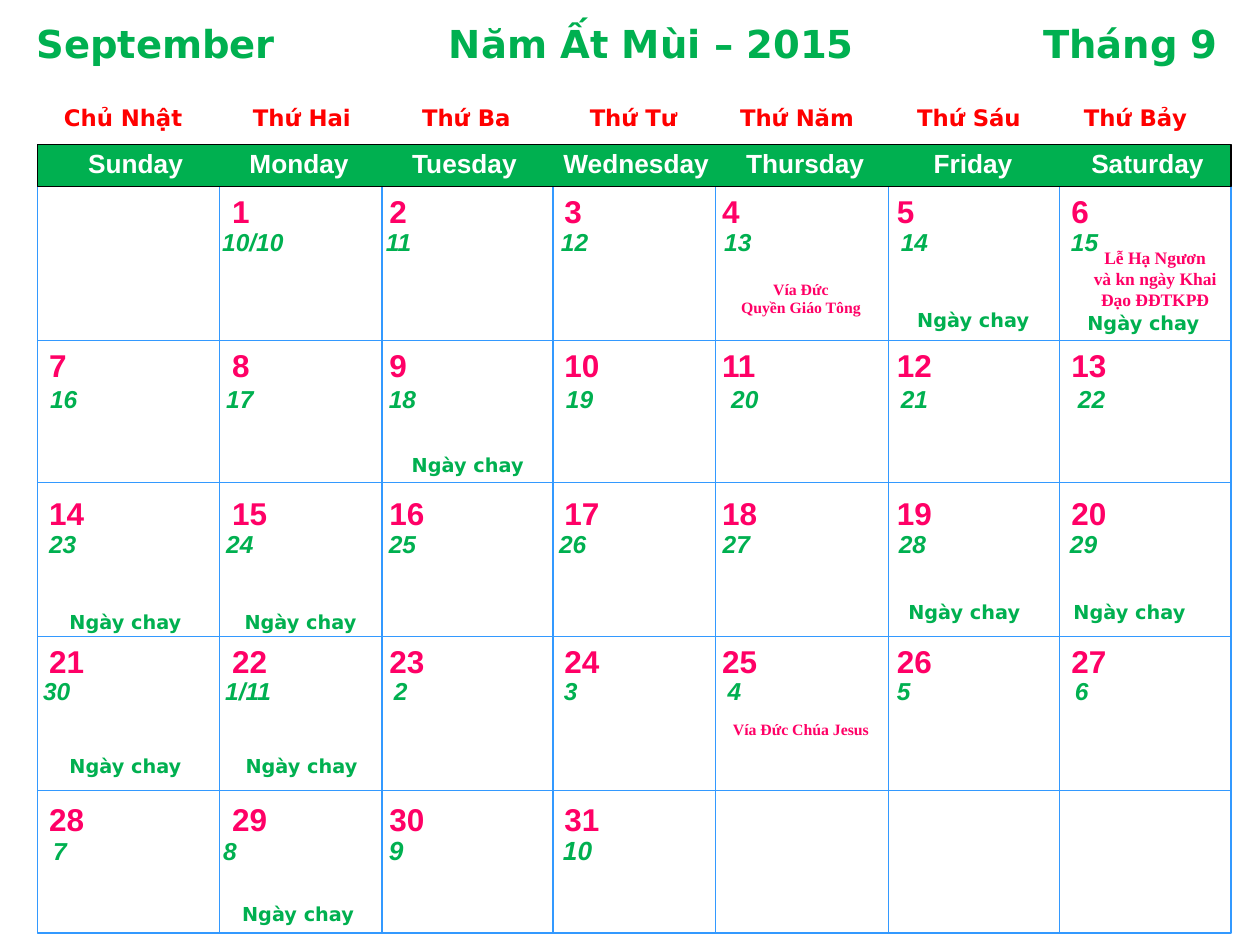
"""Builds the September lunar and solar calendar slide."""
import pptx
import pptx.dml.color
import pptx.enum.shapes
import pptx.enum.text
import pptx.oxml.ns
import pptx.util
from lxml import etree
from pptx.util import Cm

GREEN = pptx.dml.color.RGBColor(0x00, 0xB0, 0x50)
RED = pptx.dml.color.RGBColor(0xFF, 0x00, 0x00)
PINK = pptx.dml.color.RGBColor(0xFF, 0x00, 0x66)
BLUE = pptx.dml.color.RGBColor(0x33, 0x99, 0xFF)
BLACK = pptx.dml.color.RGBColor(0x00, 0x00, 0x00)
WHITE = pptx.dml.color.RGBColor(0xFF, 0xFF, 0xFF)

LEFT, RIGHT, HEADER_TOP, TOP, BOTTOM = 0.76, 24.82, 2.92, 3.76, 18.81
COLUMN_LINES = [4.42, 7.7, 11.15, 14.43, 17.91, 21.36]
ROW_LINES = [TOP, 6.86, 9.73, 12.83, 15.93]
INSET = 0.23

WEEKDAYS = [
    ("Sunday", 1.55, 2.39), ("Monday", 4.8, 2.49), ("Tuesday", 8.08, 2.59),
    ("Wednesday", 11.13, 3.43), ("Thursday", 14.81, 2.87),
    ("Friday", 18.59, 2.08), ("Saturday", 21.77, 2.77),
]
VIETNAMESE_DAYS = ["Chủ Nhật", "Thứ Hai", "Thứ Ba", "Thứ Tư", "Thứ Năm", "Thứ Sáu", "Thứ Bảy"]
VIETNAMESE_STOPS = [1.29, 5.1, 8.51, 11.89, 14.92, 18.49, 21.85]
DAY_STOPS = [0.99, 4.68, 7.85, 11.38, 14.56, 18.08, 21.6]

DAY_ROWS = [
    (3.76, range(1, 7)), (6.86, range(7, 14)), (9.83, range(14, 21)),
    (12.83, range(21, 28)), (16, range(28, 32)),
]
LUNAR_ROWS = [
    (1.47, 4.45, 21.36, ["10/10", "11", "12", "13", "14", "15"],
     [4.48, 7.78, 11.31, 14.6, 18.16, 21.59]),
    (0.2, 7.62, 22.66, ["16", "17", "18", "19", "20", "21", "22"],
     [1.01, 4.56, 7.84, 11.41, 14.74, 18.16, 21.73]),
    (0.64, 10.54, 22.23, ["23", "24", "25", "26", "27", "28", "29"],
     [0.99, 4.56, 7.84, 11.27, 14.57, 18.12, 21.57]),
    (0.64, 13.51, 22.48, ["30", "1/11", "2", "3", "4", "5", "6"],
     [0.85, 4.54, 7.94, 11.37, 14.67, 18.08, 21.67]),
    (0.84, 16.69, 21.36, ["7", "8", "9", "10"], [1.07, 4.5, 7.84, 11.35]),
]
FASTING_PLACES = [
    (18.06, 6.1), (21.49, 6.15), (7.87, 9.02), (17.88, 11.99), (21.21, 11.99),
    (0.97, 12.19), (4.5, 12.19), (0.97, 15.09), (4.52, 15.09), (4.45, 18.06),
]
FESTIVALS = [
    (13.92, 5.51, 1.02, 9, ["Vía Đức", "Quyền Giáo Tông"]),
    (13.92, 14.38, 0.64, 9, ["Vía Đức Chúa Jesus"]),
    (21.06, 4.85, 1.52, 10, ["Lễ Hạ Ngươn", "và kn ngày Khai", "Đạo ĐĐTKPĐ"]),
]


class Calendar:
    """Holds the text styles and the current slide."""

    styles = {
        "title": ("DejaVu Sans", 22, GREEN, False),
        "vietnamese": ("DejaVu Sans", 13, RED, False),
        "weekday": ("Arial", 15, WHITE, False),
        "day": ("Arial", 18, PINK, False),
        "lunar": ("Arial", 14, GREEN, True),
        "fasting": ("DejaVu Sans", 11, GREEN, False),
        "festival": ("Times New Roman", 9, PINK, False),
    }

    def __init__(self, page):
        self.page = page

    def line(self, x1, y1, x2, y2):
        """Draws one grid line."""
        line = self.page.shapes.add_connector(
            pptx.enum.shapes.MSO_CONNECTOR.STRAIGHT, Cm(x1), Cm(y1), Cm(x2), Cm(y2))
        line.line.color.rgb = BLUE
        line.line.width = pptx.util.Pt(0.75)
        etree.SubElement(line._element.spPr, pptx.oxml.ns.qn("a:effectLst"))

    def rectangle(self, top, bottom, color, fill=None):
        """Draws a rectangle across the full calendar width."""
        shape = self.page.shapes.add_shape(
            pptx.enum.shapes.MSO_SHAPE.RECTANGLE,
            Cm(LEFT), Cm(top), Cm(RIGHT - LEFT), Cm(bottom - top))
        shape.shadow.inherit = False
        shape.line.color.rgb = color
        shape.line.width = pptx.util.Pt(0.75)
        if fill is None:
            shape.fill.background()
        else:
            shape.fill.solid()
            shape.fill.fore_color.rgb = fill

    def frame(self, box, wrap=True):
        """Gives a text box its insets and fitting."""
        frame = box.text_frame
        frame.word_wrap = wrap
        frame.auto_size = pptx.enum.text.MSO_AUTO_SIZE.SHAPE_TO_FIT_TEXT
        frame.vertical_anchor = pptx.enum.text.MSO_ANCHOR.TOP
        frame.margin_left = frame.margin_right = Cm(INSET)
        frame.margin_top = frame.margin_bottom = Cm(0.12)
        return frame

    def span(self, para, text, style, size=None):
        """Adds one styled run."""
        name, points, color, italic = self.styles[style]
        span = para.add_run()
        span.text = text
        span.font.name = name
        span.font.size = pptx.util.Pt(size or points)
        span.font.bold = True
        span.font.italic = italic
        span.font.color.rgb = color

    def text(self, left, top, width, height, lines, style, size=None, wrap=True):
        """Adds a box of lines, centred when it wraps."""
        box = self.page.shapes.add_textbox(Cm(left), Cm(top), Cm(width), Cm(height))
        frame = self.frame(box, wrap)
        for index, line in enumerate(lines):
            para = frame.add_paragraph() if index else frame.paragraphs[0]
            if wrap:
                para.alignment = pptx.enum.text.PP_ALIGN.CENTER
            self.span(para, line, style, size)

    def row(self, left, top, width, height, entries, stops, style, sizes=None, box=None):
        """Sets entries in one paragraph at tab stops measured from the slide edge."""
        box = box or self.page.shapes.add_textbox(0, 0, 0, 0)
        box.left, box.top, box.width, box.height = Cm(left), Cm(top), Cm(width), Cm(height)
        para = self.frame(box).paragraphs[0]
        para.alignment = pptx.enum.text.PP_ALIGN.LEFT
        offsets = [stop - left - INSET for stop in stops]
        tabs = etree.SubElement(para._p.get_or_add_pPr(), pptx.oxml.ns.qn("a:tabLst"))
        for offset in offsets:
            if offset > 0.05:
                etree.SubElement(tabs, pptx.oxml.ns.qn("a:tab"), pos=str(int(Cm(offset))), algn="l")
        for index, (entry, offset) in enumerate(zip(entries, offsets)):
            lead = "\t" if offset > 0.05 else ""
            self.span(para, lead + str(entry), style, sizes[index] if sizes else None)


def main():
    """Builds and saves the deck."""
    deck = pptx.Presentation()
    deck.slide_width, deck.slide_height = Cm(25.4), Cm(19.05)
    page = deck.slides.add_slide(deck.slide_layouts[5])
    calendar = Calendar(page)

    for y in ROW_LINES:
        calendar.line(LEFT, y, RIGHT, y)
    for x in COLUMN_LINES:
        calendar.line(x, TOP, x, BOTTOM)
    calendar.rectangle(TOP, BOTTOM, BLUE)
    calendar.rectangle(HEADER_TOP, TOP, BLACK, GREEN)

    calendar.row(0.28, 0.28, 24.82, 1.17, ["September", "Năm Ất Mùi – 2015", "Tháng 9"],
                 [0.74, 9.05, 21.03], "title", box=page.shapes.title)
    calendar.row(0.28, 1.98, 24.54, 0.79, VIETNAMESE_DAYS, VIETNAMESE_STOPS, "vietnamese")
    for name, left, width in WEEKDAYS:
        calendar.text(left, 2.84, width, 0.89, [name], "weekday", wrap=False)

    for top, days in DAY_ROWS:
        calendar.row(LEFT, top, 23.85, 1.04, days, DAY_STOPS[-len(days):] if days[0] == 1 else DAY_STOPS,
                     "day")
    for left, top, width, days, stops in LUNAR_ROWS:
        sizes = [14, 14, 15, 15] if len(days) == 4 else None
        calendar.row(left, top, width, 0.84, days, stops, "lunar", sizes)

    for left, top in FASTING_PLACES:
        calendar.text(left, top, 3.12, 0.71, ["Ngày chay"], "fasting")
    for left, top, height, size, lines in FESTIVALS:
        calendar.text(left, top, 4.45, height, lines, "festival", size)

    deck.save("out.pptx")


if __name__ == "__main__":
    main()
